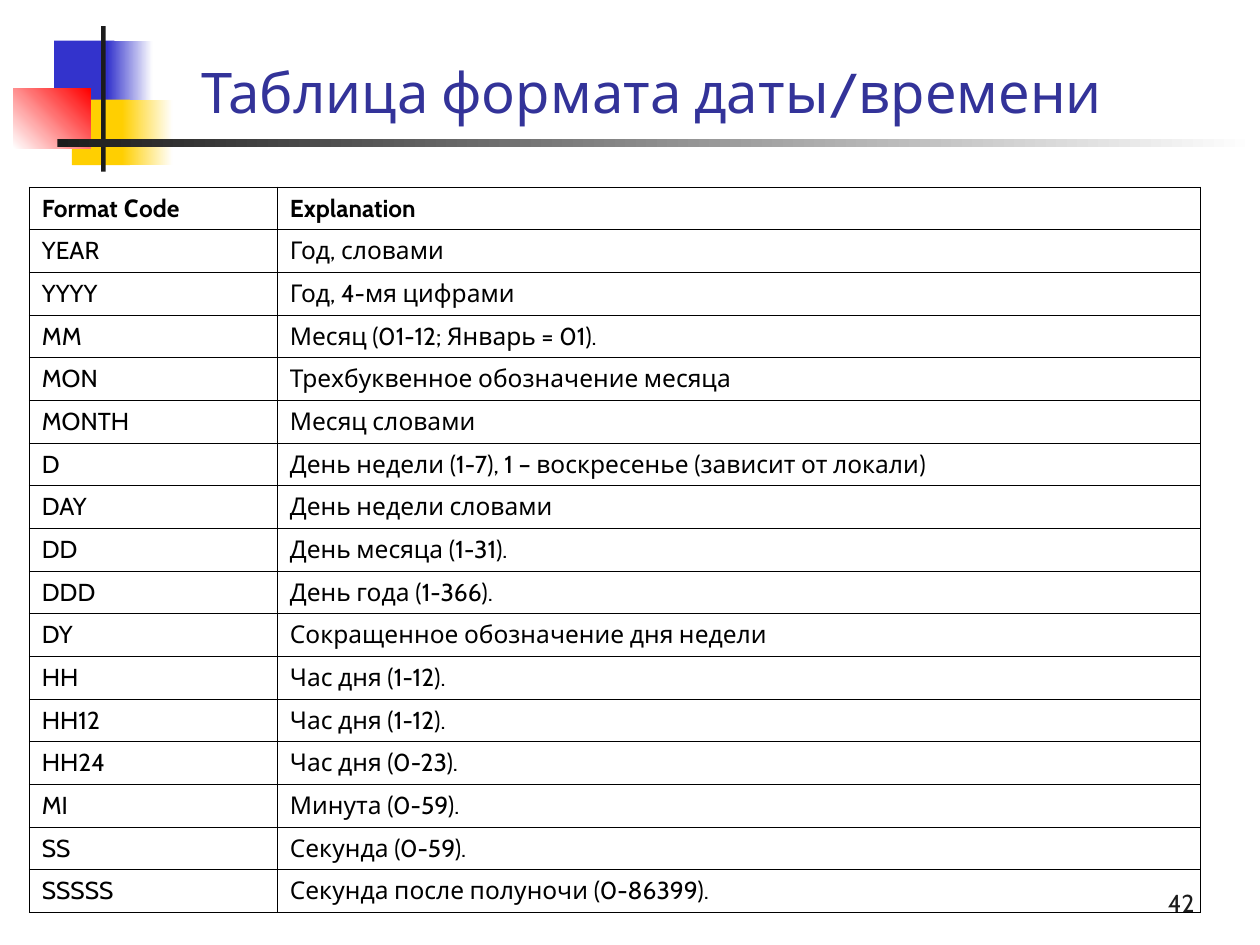
"""Build a slide with a table of date and time format codes."""
from lxml.etree import SubElement
from pptx import Presentation
from pptx.dml.color import RGBColor
from pptx.enum.shapes import MSO_SHAPE as Shape
from pptx.enum.text import MSO_ANCHOR as Anchor, MSO_AUTO_SIZE as Auto, PP_ALIGN as Align
from pptx.oxml.ns import qn
from pptx.util import Cm, Pt


def paint(hue):
    return RGBColor.from_string(hue)


def write(frame, text, size, hue, bold=False, align=Align.LEFT):
    para = frame.paragraphs[0]
    para.alignment = align
    run = para.add_run()
    run.text = text
    font = run.font
    font.name, font.size, font.bold = "Cabin", Pt(size), bold
    font.color.rgb = paint(hue)


deck = Presentation()
deck.slide_width, deck.slide_height = Cm(25.4), Cm(19.05)
slide = deck.slides.add_slide(deck.slide_layouts[5])

blocks = [
    (1.09, 0.82, 1.22, 1.32, ["3333CC"], 0),
    (2.16, 0.82, 0.92, 1.32, ["3333CC", "FFFFFF"], 0),
    (1.45, 2.01, 1.17, 1.32, ["FFCF01"], 0),
    (2.46, 2.01, 1.02, 1.32, ["FFCF01", "FFFFFF"], 0),
    (0.27, 1.79, 1.56, 1.2, ["FFFFFF", "FF0000"], 45),
    (2.04, 0.53, 0.09, 2.93, ["1C1C1C"], 0),
    (1.16, 2.81, 24.16, 0.16, ["1C1C1C", "FFFFFF"], 0),
]
for left, top, width, height, hues, angle in blocks:
    block = slide.shapes.add_shape(Shape.RECTANGLE, Cm(left), Cm(top), Cm(width), Cm(height))
    block.shadow.inherit = False
    block.line.fill.background()
    if len(hues) == 1:
        block.fill.solid()
        block.fill.fore_color.rgb = paint(hues[0])
    else:
        block.fill.gradient()
        block.fill.gradient_angle = angle
        for stop, hue, place in zip(block.fill.gradient_stops, hues, (0, 1)):
            stop.color.rgb = paint(hue)
            stop.position = place

rows = [
    ("Format Сode", "Explanation"),
    ("YEAR", "Год, словами"),
    ("YYYY", "Год, 4-мя цифрами"),
    ("MM", "Месяц (01-12; Январь = 01)."),
    ("MON", "Трехбуквенное обозначение месяца"),
    ("MONTH", "Месяц словами"),
    ("D", "День недели (1-7), 1 – воскресенье (зависит от локали)"),
    ("DAY", "День недели словами"),
    ("DD", "День месяца (1-31)."),
    ("DDD", "День года (1-366)."),
    ("DY", "Сокращенное обозначение дня недели"),
    ("HH", "Час дня (1-12)."),
    ("HH12", "Час дня (1-12)."),
    ("HH24", "Час дня (0-23)."),
    ("MI", "Минута (0-59)."),
    ("SS", "Секунда (0-59)."),
    ("SSSSS", "Секунда после полуночи (0-86399)."),
]
table = slide.shapes.add_table(
    len(rows), 2, Cm(0.59), Cm(3.77), Cm(23.6), Cm(0.86 * len(rows))).table
table.first_row = table.horz_banding = False
table.columns[0].width, table.columns[1].width = Cm(5), Cm(18.6)
for r, row in enumerate(rows):
    table.rows[r].height = Cm(0.86)
    for c, text in enumerate(row):
        cell = table.cell(r, c)
        cell.vertical_anchor = Anchor.MIDDLE
        write(cell.text_frame, text, 14, "000000", bold=r == 0)
        props = cell._tc.get_or_add_tcPr()
        for side in ("lnL", "lnR", "lnT", "lnB"):
            edge = SubElement(props, qn("a:" + side), w=str(Pt(0.45)))
            SubElement(SubElement(edge, qn("a:solidFill")), qn("a:srgbClr"), val="000000")
        cell.fill.background()

title = slide.shapes.title
title.left, title.top, title.width, title.height = Cm(3.81), Cm(0.84), Cm(21.59), Cm(1.8)
number = slide.shapes.add_textbox(Cm(19.05), Cm(17.35), Cm(5.28), Cm(1.27))
for box in (title, number):
    frame = box.text_frame
    frame.word_wrap = True
    frame.auto_size = Auto.NONE
    frame.vertical_anchor = Anchor.BOTTOM
write(title.text_frame, "Таблица формата даты/времени", 32, "333399")
write(number.text_frame, "42", 14, "1C1C1C", align=Align.RIGHT)

deck.save("out.pptx")
